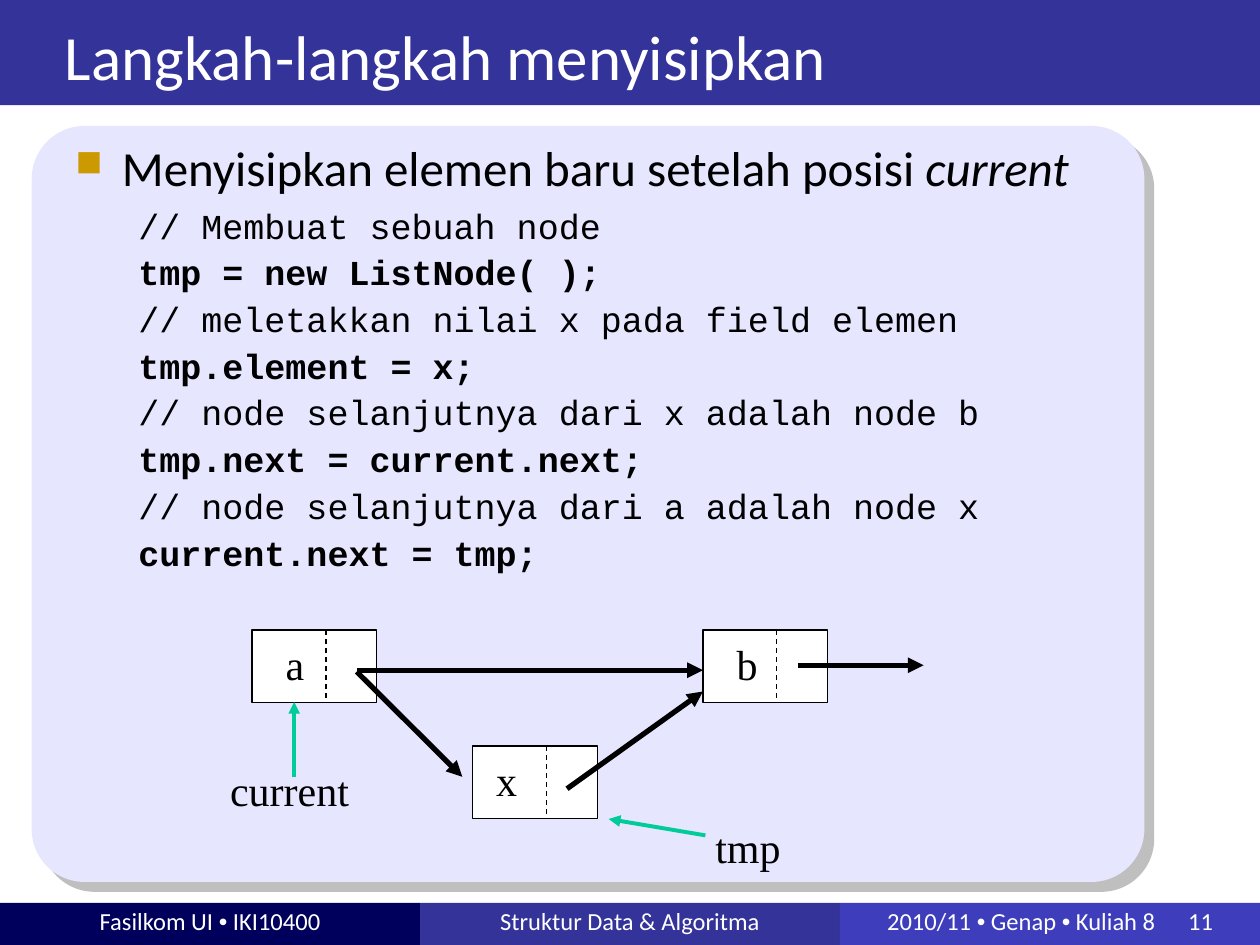
from lxml import etree
from pptx import Presentation
from pptx import util as u
from pptx.dml.color import RGBColor
from pptx.enum import dml, shapes, text
from pptx.oxml.ns import qn

Cm, Pt = u.Cm, u.Pt
BLACK = RGBColor(0x00, 0x00, 0x00)
WHITE = RGBColor(0xFF, 0xFF, 0xFF)
NAVY = RGBColor(0x00, 0x00, 0x5C)
INDIGO = RGBColor(0x33, 0x33, 0x99)
BLUE = RGBColor(0x3E, 0x3E, 0xBC)
LAVENDER = RGBColor(0xE6, 0xE6, 0xFF)
GOLD = RGBColor(0xCC, 0x99, 0x00)
GREEN = RGBColor(0x00, 0xCC, 0x99)
GRAY = RGBColor(0x80, 0x80, 0x80)

# Content
TITLE = "Langkah-langkah menyisipkan"
HEADING = [("Menyisipkan elemen baru setelah posisi ", False), ("current", True)]
STEPS = [  # comment, statement
    ("// Membuat sebuah node", "tmp = new ListNode( );"),
    ("// meletakkan nilai x pada field elemen", "tmp.element = x;"),
    ("// node selanjutnya dari x adalah node b", "tmp.next = current.next;"),
    ("// node selanjutnya dari a adalah node x", "current.next = tmp;"),
]
FOOTERS = [  # parts joined by dots, fill
    (["Fasilkom UI ", " IKI10400"], NAVY),
    (["Struktur Data & Algoritma"], INDIGO),
    (["2010/11 ", " Genap ", " Kuliah 8\t11"], BLUE),
]
# Diagram, in centimetres
NODES = [("a", 5.08, 12.7, 0.68), ("b", 14.17, 12.7, 0.68), ("x", 9.53, 15.04, 0.47)]
POINTERS = [("current", 4.39, 15.37, 2.9), ("tmp", 14.17, 16.51, 1.83)]
NEXT_LINKS = [
    (7.19, 13.51, 14.17, 13.51),
    (16.08, 13.41, 18.62, 13.41),
    (11.43, 15.9, 14.17, 13.94),
    (7.19, 13.54, 9.32, 15.66),
]
POINTER_ARROWS = [(5.93, 15.67, 5.93, 14.15), (14.22, 16.84, 12.27, 16.51)]
NODE_W, NODE_H, DIVIDER = 2.51, 1.46, 1.49
SLIDE_W, SLIDE_H, FOOTER_H = 25.4, 19.05, 0.85

prs = Presentation()
prs.slide_width, prs.slide_height = Cm(SLIDE_W), Cm(SLIDE_H)
slide = prs.slides.add_slide(prs.slide_layouts[6])


def add_block(x, y, w, h, fill, kind=shapes.MSO_SHAPE.RECTANGLE):
    block = slide.shapes.add_shape(kind, Cm(x), Cm(y), Cm(w), Cm(h))
    block.shadow.inherit = False
    block.fill.solid()
    block.fill.fore_color.rgb = fill
    block.line.fill.background()
    return block


def add_box(x, y, w, h, wrap=True):
    frame = slide.shapes.add_textbox(Cm(x), Cm(y), Cm(w), Cm(h)).text_frame
    frame.word_wrap = wrap
    return frame


def set_font(paragraph, name, size, color=BLACK, bold=False):
    font = paragraph.font
    font.name, font.size, font.bold = name, Pt(size), bold
    font.color.rgb = color


def set_spacing(paragraph, lines, before, after, margin, indent):
    paragraph.line_spacing = lines
    paragraph.space_before, paragraph.space_after = Pt(before), Pt(after)
    props = paragraph._p.get_or_add_pPr()
    props.set("marL", str(Cm(margin)))
    props.set("indent", str(Cm(indent)))
    return props


def add_line(x1, y1, x2, y2, color, width, arrow=True):
    line = slide.shapes.add_connector(
        shapes.MSO_CONNECTOR.STRAIGHT, Cm(x1), Cm(y1), Cm(x2), Cm(y2))
    line.line.color.rgb = color
    line.line.width = Pt(width)
    if arrow:
        etree.SubElement(line.line._get_or_add_ln(), qn("a:tailEnd"), type="triangle")
    etree.SubElement(line._element.spPr, qn("a:effectLst"))
    return line


# Title band
add_block(0, 0, SLIDE_W, 2.12, INDIGO)
title = add_box(1.06, 0, 22.68, 2.01)
title.vertical_anchor = text.MSO_ANCHOR.BOTTOM
title.text = TITLE
set_font(title.paragraphs[0], "Calibri", 36, WHITE)

# Footer: three equal cells, the last one with a tab before the page number
cell_w = SLIDE_W / len(FOOTERS)
for i, (parts, fill) in enumerate(FOOTERS):
    cell = add_block(i * cell_w, SLIDE_H - FOOTER_H, cell_w, FOOTER_H, fill).text_frame
    cell.margin_top, cell.margin_bottom = 0, Cm(0.13)
    cell.vertical_anchor = text.MSO_ANCHOR.MIDDLE
    line = cell.paragraphs[0]
    line.alignment = text.PP_ALIGN.CENTER
    if "\t" in parts[-1]:
        line.alignment = text.PP_ALIGN.LEFT
        cell.margin_left = Cm(0.95)
        tabs = etree.SubElement(line._p.get_or_add_pPr(), qn("a:tabLst"))
        etree.SubElement(tabs, qn("a:tab"), pos=str(Cm(6.07)), algn="l")
    set_font(line, "Calibri", 14, WHITE)
    for j, part in enumerate(parts):
        if j:
            dot = line.add_run()
            dot.text, dot.font.name = "•", "Arial"
        line.add_run().text = part

# Content panel with a soft grey offset shadow
panel = add_block(0.64, 2.54, 22.43, 15.24, LAVENDER, shapes.MSO_SHAPE.ROUNDED_RECTANGLE)
panel.adjustments[0] = 0.07
shadow = etree.SubElement(panel._element.spPr.find(qn("a:effectLst")), qn("a:outerShdw"),
                          dist=str(Pt(8)), dir="2700000", algn="ctr", rotWithShape="0")
shade = etree.SubElement(shadow, qn("a:srgbClr"), val=str(GRAY))
etree.SubElement(shade, qn("a:alpha"), val="50000")

# Heading and code steps
body = add_box(1.27, 2.75, 23.16, 11.5)
heading = body.paragraphs[0]
props = set_spacing(heading, 0.93, 0, 6, 0.94, -0.94)
etree.SubElement(etree.SubElement(props, qn("a:buClr")), qn("a:srgbClr"), val=str(GOLD))
etree.SubElement(props, qn("a:buSzPct"), val="75000")
etree.SubElement(props, qn("a:buChar"), char="■")
set_font(heading, "Calibri", 28)
for words, italic in HEADING:
    run = heading.add_run()
    run.text, run.font.italic = words, italic
for step in STEPS:
    for code, bold in zip(step, (False, True)):
        line = body.add_paragraph()
        line.text = code
        set_spacing(line, 0.8, 2.5, 5, 2.03, -0.76)
        set_font(line, "Courier New", 20, bold=bold)

# List nodes: value cell and link cell
for name, x, y, inset in NODES:
    node = add_block(x, y, NODE_W, NODE_H, WHITE)
    node.line.color.rgb, node.line.width = BLACK, Pt(0.75)
    value = node.text_frame
    value.margin_left = Cm(inset)
    value.vertical_anchor = text.MSO_ANCHOR.MIDDLE
    value.text = name
    value.paragraphs[0].alignment = text.PP_ALIGN.LEFT
    value.paragraphs[0].line_spacing = 0.95
    set_font(value.paragraphs[0], "Times New Roman", 24)
    divider = add_line(x + DIVIDER, y, x + DIVIDER, y + NODE_H, BLACK, 0.75, arrow=False)
    divider.line.dash_style = dml.MSO_LINE.DASH

# Pointer names and arrows
for name, x, y, w in POINTERS:
    pointer = add_box(x, y, w, 1.22, wrap=False)
    pointer.text = name
    pointer.paragraphs[0].line_spacing = 0.95
    set_font(pointer.paragraphs[0], "Times New Roman", 24)
for ends in NEXT_LINKS:
    add_line(*ends, BLACK, 3)
for ends in POINTER_ARROWS:
    add_line(*ends, GREEN, 2.25)

prs.save("out.pptx")
